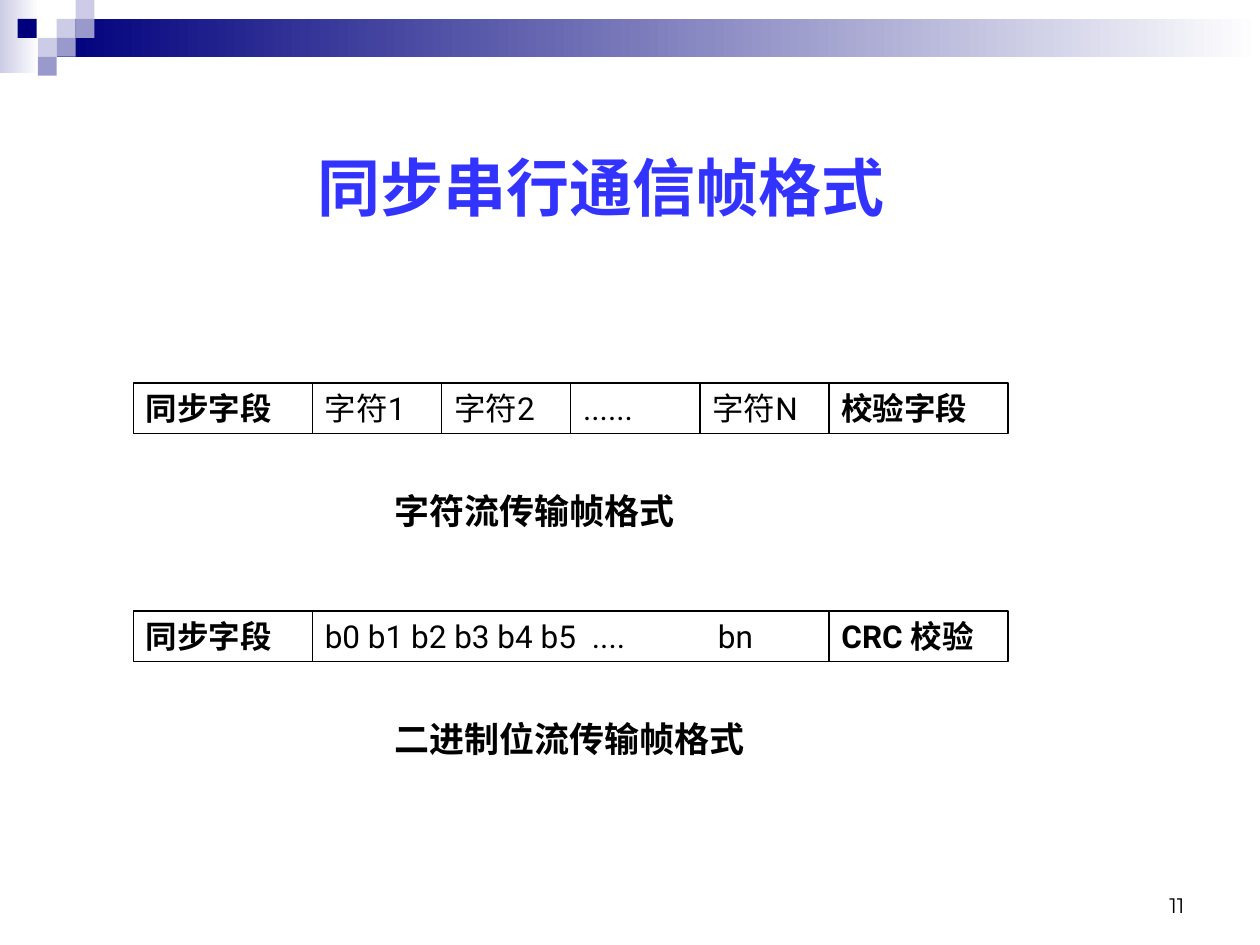
from lxml.etree import SubElement
from pptx import Presentation
from pptx.dml.color import RGBColor
from pptx.enum.shapes import MSO_SHAPE
from pptx.enum.text import MSO_ANCHOR, PP_ALIGN
from pptx.oxml.ns import qn
from pptx.util import Inches, Pt

# Content: each frame is a row of (text, width, bold) fields with a caption
TITLE = "同步串行通信帧格式"
PAGE_NUMBER = "11"
END_WIDTH, CHAR_WIDTH = 1.42, 1.025
FRAMES = [
    {
        "fields": [
            ("同步字段", END_WIDTH, True),
            ("字符1", CHAR_WIDTH, False),
            ("字符2", CHAR_WIDTH, False),
            ("......", CHAR_WIDTH, False),
            ("字符N", CHAR_WIDTH, False),
            ("校验字段", END_WIDTH, True),
        ],
        "caption": ("字符流传输帧格式", 2.52),
    },
    {
        "fields": [
            ("同步字段", END_WIDTH, True),
            ("b0 b1 b2 b3 b4 b5\t....\tbn", 4 * CHAR_WIDTH, False),
            ("CRC 校验", END_WIDTH, True),
        ],
        "caption": ("二进制位流传输帧格式", 3.07),
    },
]
BIT_TABS = (2.12, 3.12)

THEME = {
    "navy": "00007D", "lilac": "CCCCE6", "violet": "9999CC", "white": "FFFFFF",
    "title": "3333FF", "ink": "000000",
    "title_font": "Arial", "body_font": "Roboto", "number_font": "Montserrat",
    "title_size": 36, "field_size": 18, "caption_size": 20, "number_size": 12,
}

# Header: gradient bands (left, top, width, height, colour), then squares
BANDS = [(0, 0, 0.31, 0.58, "lilac"), (0.45, 0.15, 9.55, 0.3, "navy")]
SQUARE = 0.15
SQUARES = [
    (0.45, 0.15, "lilac"), (0.6, 0, "lilac"), (0.6, 0.15, "violet"),
    (0.3, 0.3, "lilac"), (0.14, 0.15, "navy"), (0.45, 0.3, "violet"),
    (0.3, 0.45, "violet"),
]

# Frame layout
FRAME_LEFT, FRAME_TOP, FRAME_STEP = 1.06, 3.04, 1.81
FIELD_HEIGHT = 0.4
CAPTION_LEFT, CAPTION_OFFSET, CAPTION_HEIGHT = 3.03, 0.79, 0.44


def colour(name):
    return RGBColor.from_string(THEME[name])


def add_rectangle(slide, left, top, width, height):
    rectangle = slide.shapes.add_shape(
        MSO_SHAPE.RECTANGLE, Inches(left), Inches(top), Inches(width), Inches(height))
    rectangle.shadow.inherit = False
    return rectangle


def add_label(slide, left, top, width, height):
    return slide.shapes.add_textbox(
        Inches(left), Inches(top), Inches(width), Inches(height))


def write(holder, text, role, bold=False, ink="ink", face="body_font",
          align=PP_ALIGN.LEFT, anchor=MSO_ANCHOR.MIDDLE, wrap=True):
    frame = holder.text_frame
    frame.word_wrap = wrap
    frame.vertical_anchor = anchor
    frame.text = text
    paragraph = frame.paragraphs[0]
    paragraph.alignment = align
    if "\t" in text:
        stops = SubElement(paragraph._p.get_or_add_pPr(), qn("a:tabLst"))
        for position in BIT_TABS:
            SubElement(stops, qn("a:tab"), pos=str(Inches(position)), algn="l")
    for run in paragraph.runs:
        run.font.name = THEME[face]
        run.font.size = Pt(THEME[role])
        run.font.bold = bold
        run.font.color.rgb = colour(ink)


def add_header(slide):
    for *box, shade in BANDS:
        band = add_rectangle(slide, *box)
        band.fill.gradient()
        band.fill.gradient_angle = 0
        for stop, name, position in zip(band.fill.gradient_stops, (shade, "white"), (0, 1)):
            stop.color.rgb = colour(name)
            stop.position = position
        band.line.fill.background()
    for left, top, shade in SQUARES:
        square = add_rectangle(slide, left, top, SQUARE, SQUARE)
        square.fill.solid()
        square.fill.fore_color.rgb = colour(shade)
        square.line.fill.background()


def add_frame(slide, frame, top):
    left = FRAME_LEFT
    for text, width, bold in frame["fields"]:
        field = add_rectangle(slide, left, top, width, FIELD_HEIGHT)
        field.fill.background()
        field.line.color.rgb = colour("ink")
        field.line.width = Pt(0.75)
        write(field, text, "field_size", bold)
        left += width
    text, width = frame["caption"]
    caption = add_label(slide, CAPTION_LEFT, top + CAPTION_OFFSET, width, CAPTION_HEIGHT)
    write(caption, text, "caption_size", bold=True, wrap=False)


def main():
    deck = Presentation()
    deck.slide_width, deck.slide_height = Inches(10), Inches(7.5)
    slide = deck.slides.add_slide(deck.slide_layouts[5])

    add_header(slide)

    # Title
    title = slide.shapes.title
    title.left, title.top = Inches(0.27), Inches(1.07)
    title.width, title.height = Inches(9), Inches(0.81)
    write(title, TITLE, "title_size", bold=True, ink="title",
          face="title_font", align=PP_ALIGN.CENTER)

    # Frame formats
    for row, frame in enumerate(FRAMES):
        add_frame(slide, frame, FRAME_TOP + row * FRAME_STEP)

    # Page number
    number = add_label(slide, 7.17, 6.83, 2.33, 0.5)
    write(number, PAGE_NUMBER, "number_size", face="number_font",
          align=PP_ALIGN.RIGHT, anchor=MSO_ANCHOR.BOTTOM)

    deck.save("out.pptx")


if __name__ == "__main__":
    main()
